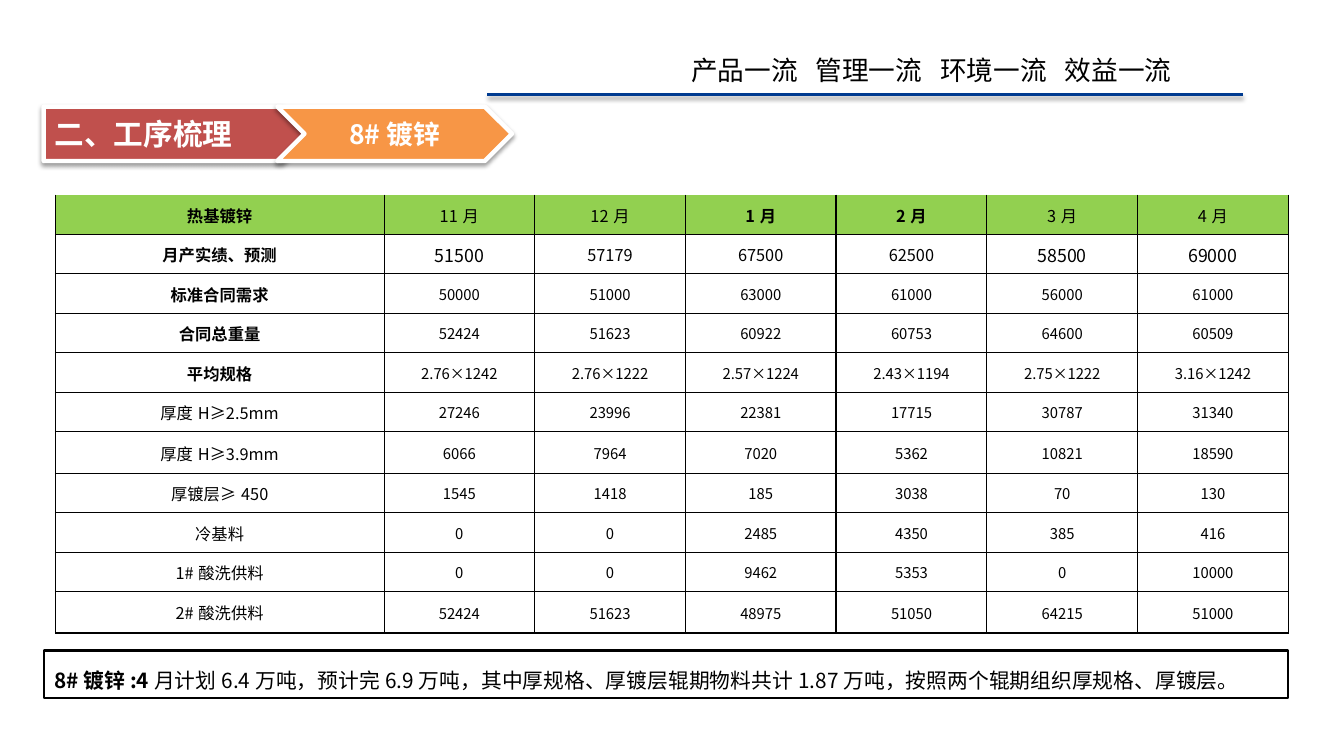
from pptx import Presentation
from pptx.dml.color import RGBColor
from pptx.enum.shapes import MSO_CONNECTOR, MSO_SHAPE
from pptx.enum.text import MSO_ANCHOR, MSO_AUTO_SIZE, PP_ALIGN
from pptx.oxml import parse_xml
from pptx.oxml.ns import nsdecls
from pptx.util import Pt

LEFT, CENTER = PP_ALIGN.LEFT, PP_ALIGN.CENTER
TOP, MIDDLE = MSO_ANCHOR.TOP, MSO_ANCHOR.MIDDLE
GROW, FIXED = MSO_AUTO_SIZE.SHAPE_TO_FIT_TEXT, MSO_AUTO_SIZE.NONE
PENTAGON, CHEVRON = MSO_SHAPE.PENTAGON, MSO_SHAPE.CHEVRON
STRAIGHT = MSO_CONNECTOR.STRAIGHT


class Theme:
    font = "Noto Sans CJK SC"
    black = RGBColor(0x00, 0x00, 0x00)
    white = RGBColor(0xFF, 0xFF, 0xFF)
    blue = RGBColor(0x00, 0x3B, 0x90)
    red = RGBColor(0xC0, 0x50, 0x4D)
    orange = RGBColor(0xF7, 0x96, 0x46)
    green = RGBColor(0x92, 0xD0, 0x50)
    title, head, note = 20, 18, 14
    label, large, value = 11, 12, 10


def style(para, size, color, bold=False, align=LEFT):
    para.alignment = align
    for run in para.runs:
        font = run.font
        font.name, font.size, font.bold = Theme.font, Pt(size), bold
        font.color.rgb = color
        font._element.append(parse_xml(
            f'<a:ea {nsdecls("a")} typeface="{Theme.font}"/>'))


def shade(shape):
    shape._element.spPr.append(parse_xml(
        f'<a:effectLst {nsdecls("a")}><a:outerShdw blurRad="39400" '
        'dist="20300" dir="5400000" rotWithShape="0"><a:srgbClr val="000000">'
        '<a:alpha val="38000"/></a:srgbClr></a:outerShdw></a:effectLst>'))


prs = Presentation()
prs.slide_width, prs.slide_height = Pt(907.2), Pt(510.5)
slide = prs.slides.add_slide(prs.slide_layouts[5])
shapes = slide.shapes

# Slogan and rule
slogan = shapes.add_textbox(Pt(459.4), Pt(33.1), Pt(415.4), Pt(28.8))
slogan.text_frame.word_wrap = True
slogan.text_frame.auto_size = GROW
para = slogan.text_frame.paragraphs[0]
para.text = "产品一流\t管理一流\t环境一流\t效益一流"
stops = "".join(f'<a:tab pos="{Pt(84.1 * n)}" algn="l"/>' for n in (1, 2, 3))
para._p.get_or_add_pPr().append(
    parse_xml(f'<a:tabLst {nsdecls("a")}>{stops}</a:tabLst>'))
style(para, Theme.head, Theme.black)

rule = shapes.add_connector(STRAIGHT, Pt(329), Pt(64), Pt(838.8), Pt(64))
rule.line.color.rgb, rule.line.width = Theme.blue, Pt(2)
shade(rule)

# Section arrows
arrows = [(PENTAGON, 29.5, 178.6, Theme.red, ""),
          (CHEVRON, 187.2, 158.4, Theme.orange, "8#镀锌")]
for kind, left, width, color, text in arrows:
    arrow = shapes.add_shape(kind, Pt(left), Pt(72), Pt(width), Pt(36.7))
    arrow.fill.solid()
    arrow.fill.fore_color.rgb = color
    arrow.line.color.rgb, arrow.line.width = Theme.white, Pt(3)
    shade(arrow)
    arrow.text_frame.text = text
    style(arrow.text_frame.paragraphs[0], Theme.head, Theme.white, True, CENTER)

# Title on the first arrow
title = shapes.title
title.left, title.top, title.width, title.height = (
    Pt(29.5), Pt(72), Pt(169), Pt(36.7))
title.text_frame.text = "二、工序梳理"
title.text_frame.auto_size = FIXED
title.text_frame.vertical_anchor = MIDDLE
style(title.text_frame.paragraphs[0], Theme.title, Theme.white, True)
shapes._spTree.append(title._element)

# Monthly table
rows = [
    ["热基镀锌", "11月", "12月", "1月", "2月", "3月", "4月"],
    ["月产实绩、预测", 51500, 57179, 67500, 62500, 58500, 69000],
    ["标准合同需求", 50000, 51000, 63000, 61000, 56000, 61000],
    ["合同总重量", 52424, 51623, 60922, 60753, 64600, 60509],
    ["平均规格", "2.76×1242", "2.76×1222", "2.57×1224",
     "2.43×1194", "2.75×1222", "3.16×1242"],
    ["厚度H≥2.5mm", 27246, 23996, 22381, 17715, 30787, 31340],
    ["厚度H≥3.9mm", 6066, 7964, 7020, 5362, 10821, 18590],
    ["厚镀层≥450", 1545, 1418, 185, 3038, 70, 130],
    ["冷基料", 0, 0, 2485, 4350, 385, 416],
    ["1#酸洗供料", 0, 0, 9462, 5353, 0, 10000],
    ["2#酸洗供料", 52424, 51623, 48975, 51050, 64215, 51000],
]
last = len(rows) - 1
table = shapes.add_table(len(rows), 7, Pt(37.4), Pt(131.4),
                         Pt(832.3), Pt(296.3)).table
table.first_row = table.horz_banding = False
for c, col in enumerate(table.columns):
    col.width = Pt(221.8 if c == 0 else 101.75)
for r, row in enumerate(rows):
    table.rows[r].height = Pt(28 if r in (6, last) else 26.7)
    for c, text in enumerate(row):
        cell = table.cell(r, c)
        cell.text = str(text)
        cell.vertical_anchor = MIDDLE
        cell.margin_left = cell.margin_right = cell.margin_top = Pt(0.7)
        cell.margin_bottom = 0
        if r == 0:
            cell.fill.solid()
            cell.fill.fore_color.rgb = Theme.green
        else:
            cell.fill.background()
        bold = r < 5 if c == 0 else r == 0 and c in (3, 4)
        size = Theme.label if c == 0 or r < 2 else Theme.value
        if r == 1 and c in (1, 5, 6):
            size = Theme.large
        style(cell.text_frame.paragraphs[0], size, Theme.black, bold, CENTER)
        edges = {"L": 0.5 if c == 1 else 1, "R": 0.5 if c == 0 else 1,
                 "T": 0.5 if r else 0, "B": 1 if r == last else 0.5}
        for i, (side, width) in enumerate(edges.items()):
            paint = (f'<a:solidFill><a:srgbClr val="{Theme.black}"/>'
                     '</a:solidFill>' if width else '<a:noFill/>')
            cell._tc.get_or_add_tcPr().insert(i, parse_xml(
                f'<a:ln{side} {nsdecls("a")} w="{Pt(width)}">{paint}'
                f'</a:ln{side}>'))

# Summary box
note = shapes.add_textbox(Pt(29.5), Pt(439.2), Pt(840.2), Pt(32.4))
note.fill.solid()
note.fill.fore_color.rgb = Theme.white
note.line.color.rgb, note.line.width = Theme.black, Pt(1.5)
frame = note.text_frame
frame.word_wrap, frame.auto_size, frame.vertical_anchor = True, GROW, TOP
para = frame.paragraphs[0]
para.line_spacing = 1.5
for text in ("8#镀锌:4", "月计划6.4万吨，预计完6.9万吨，其中厚规格、厚镀层辊期物料"
             "共计1.87万吨，按照两个辊期组织厚规格、厚镀层。"):
    para.add_run().text = text
style(para, Theme.note, Theme.black)
para.runs[0].font.bold = True

prs.save("out.pptx")
